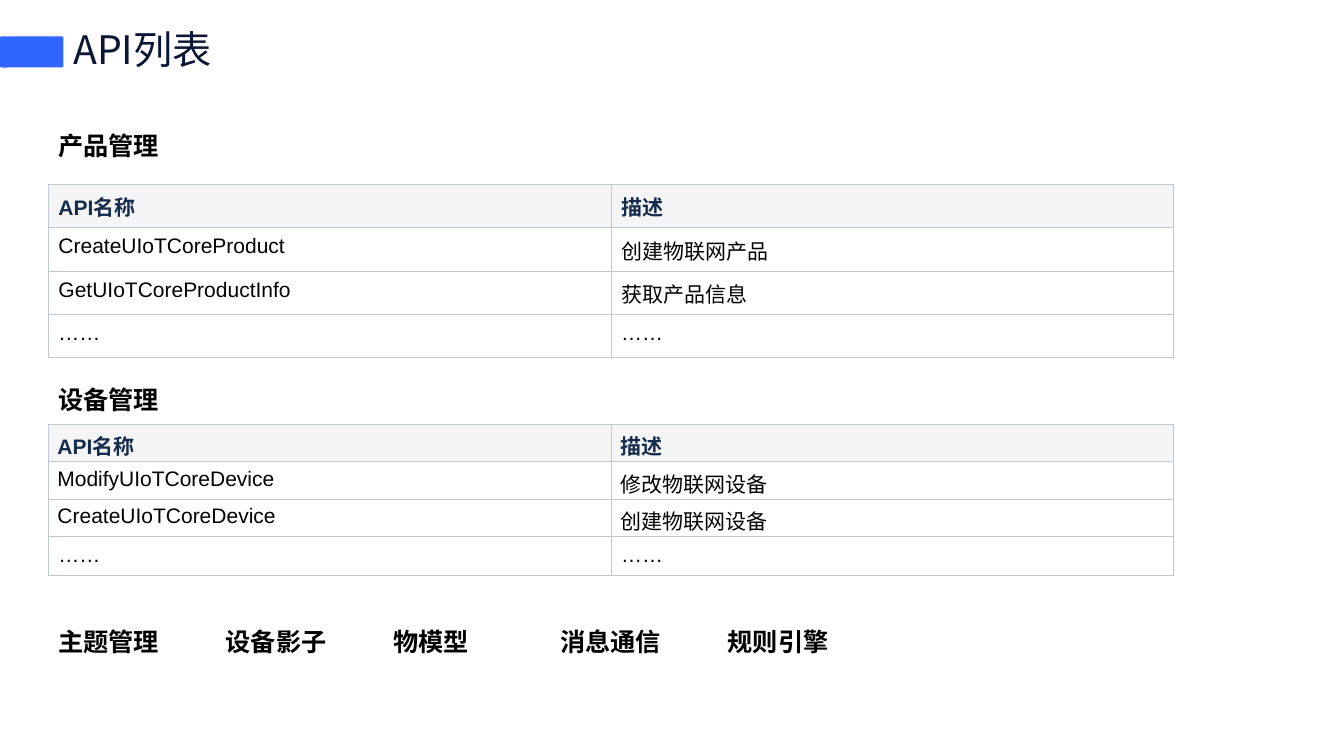
from lxml.etree import SubElement
from pptx import Presentation
from pptx.dml.color import RGBColor
from pptx.enum.shapes import MSO_SHAPE
from pptx.enum.text import MSO_ANCHOR, MSO_AUTO_SIZE
from pptx.oxml.ns import qn
from pptx.util import Inches, Pt

ROUND = MSO_SHAPE.ROUNDED_RECTANGLE
MIDDLE = MSO_ANCHOR.MIDDLE
GROW = MSO_AUTO_SIZE.SHAPE_TO_FIT_TEXT
CJK = "Noto Sans CJK SC"


def paint(color, hue):
    color.rgb = RGBColor.from_string(hue)


def write(frame, text, size, hue, bold=False, face="Arial"):
    para = frame.paragraphs[0]
    run = para.add_run()
    run.text = text
    SubElement(run._r.get_or_add_rPr(), qn("a:ea"), typeface=CJK)
    para.font.name = face
    para.font.size = Pt(size)
    para.font.bold = bold
    paint(para.font.color, hue)


deck = Presentation()
deck.slide_width = Inches(13.33)
deck.slide_height = Inches(7.5)
slide = deck.slides.add_slide(deck.slide_layouts[6])
shapes = slide.shapes

bar = shapes.add_shape(ROUND, 0, Inches(0.36), Inches(0.63), Inches(0.31))
bar.adjustments[0] = 0.06
bar.shadow.inherit = False
bar.fill.solid()
paint(bar.fill.fore_color, "3065FE")
bar.line.fill.background()

title = shapes.add_textbox(Inches(0.63), Inches(0.25), Inches(9.24), Inches(0.53)).text_frame
title.word_wrap = True
title.vertical_anchor = MIDDLE
write(title, "API列表", 28, "0A1633", face=CJK)
title.paragraphs[0].line_spacing = 0.9

labels = [(0.48, 1.24, "产品管理"), (0.48, 3.76, "设备管理")]
topics = ["主题管理", "设备影子", "物模型", "消息通信", "规则引擎"]
labels += [(0.48 + 1.66 * i, 6.16, name) for i, name in enumerate(topics)]
for left, top, name in labels:
    width = 0.2 + 0.25 * len(name)
    frame = shapes.add_textbox(Inches(left), Inches(top), Inches(width), Inches(0.4)).text_frame
    frame.word_wrap = False
    frame.auto_size = GROW
    write(frame, name, 18, "000000", True)

head = ("API名称", "描述")
more = ("……", "……")
tables = [
    (1.83, 0.43, 0.1, 0.07, 0.15, [
        head,
        ("CreateUIoTCoreProduct", "创建物联网产品"),
        ("GetUIoTCoreProductInfo", "获取产品信息"),
        more]),
    (4.21, 0.37, 0.09, 0.06, 0.13, [
        head,
        ("ModifyUIoTCoreDevice", "修改物联网设备"),
        ("CreateUIoTCoreDevice", "创建物联网设备"),
        more]),
]
for top, high, side, edge, wide, rows in tables:
    grid = shapes.add_table(len(rows), 2, Inches(0.48), Inches(top),
                            Inches(11.16), Inches(high * len(rows))).table
    grid.first_row = False
    grid.horz_banding = False
    for r, row in enumerate(rows):
        first = r == 0
        pad, gap = (0.1, 0.07) if row == more else (side, edge)
        for c, text in enumerate(row):
            cell = grid.cell(r, c)
            cell.margin_left = Inches(pad)
            cell.margin_right = Inches(wide if first else pad)
            cell.margin_top = cell.margin_bottom = Inches(gap)
            props = cell._tc.get_or_add_tcPr()
            for name in ("lnL", "lnR", "lnT", "lnB"):
                line = SubElement(props, qn("a:" + name), w=str(Pt(0.75)))
                fill = SubElement(line, qn("a:solidFill"))
                SubElement(fill, qn("a:srgbClr"), val="C1C7D0")
            cell.fill.solid()
            paint(cell.fill.fore_color, "F4F5F7" if first else "FFFFFF")
            write(cell.text_frame, text, 15, "172B4D" if first else "000000", first)

deck.save("out.pptx")
